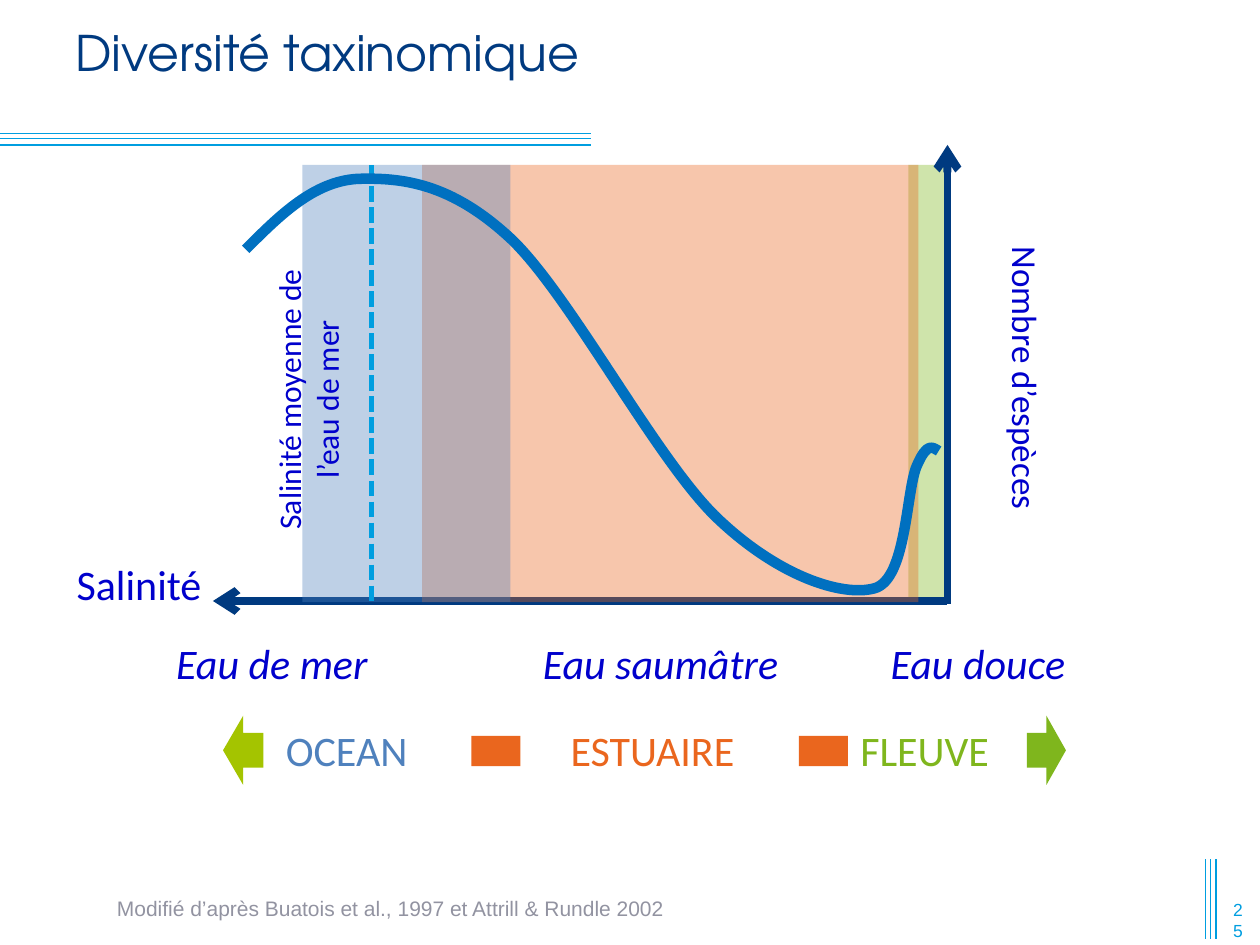
from dataclasses import dataclass

from pptx import Presentation
from pptx.dml.color import RGBColor
from pptx.enum.dml import MSO_LINE
from pptx.enum.shapes import MSO_CONNECTOR, MSO_SHAPE
from pptx.enum.text import MSO_ANCHOR, MSO_AUTO_SIZE, PP_ALIGN
from pptx.oxml.ns import qn
from pptx.util import Inches, Pt

STRAIGHT = MSO_CONNECTOR.STRAIGHT
RECTANGLE = MSO_SHAPE.RECTANGLE
LEFT_ARROW = MSO_SHAPE.LEFT_ARROW
RIGHT_ARROW = MSO_SHAPE.RIGHT_ARROW
SHORT_DASH = MSO_LINE.SQUARE_DOT
LEFT, CENTER = PP_ALIGN.LEFT, PP_ALIGN.CENTER
TOP, MIDDLE = MSO_ANCHOR.TOP, MSO_ANCHOR.MIDDLE
GROW = MSO_AUTO_SIZE.SHAPE_TO_FIT_TEXT


@dataclass(frozen=True)
class Theme:
    navy: str = "003A80"
    cyan: str = "009EE0"
    label: str = "0000CC"
    curve: str = "0070C0"
    ocean: str = "4F81BD"
    estuary: str = "EA661E"
    river: str = "7FB61D"
    lime: str = "A4C400"
    grey: str = "9293A1"
    title_font: str = "TeX Gyre Adventor"
    label_font: str = "Calibri"
    small_font: str = "Arial"
    title_size: int = 28
    label_size: int = 24
    axis_size: int = 20
    note_size: int = 18
    source_size: int = 12
    number_size: int = 10
    zone_opacity: int = 37


class SlideBuilder:
    def __init__(self, page, theme):
        self.shapes = page.shapes
        self.theme = theme

    def text(self, words, at, size, color, font=None, italic=False,
             align=LEFT, anchor=TOP, wrap=False, grow=True, direction=None):
        box = self.shapes.add_textbox(*map(Inches, at))
        frame = box.text_frame
        frame.word_wrap = wrap
        frame.vertical_anchor = anchor
        if grow:
            frame.auto_size = GROW
        if direction:
            frame._txBody.bodyPr.set("vert", direction)
        para = frame.paragraphs[0]
        para.text = words
        para.alignment = align
        para.font.name = font or self.theme.label_font
        para.font.size = Pt(size)
        para.font.italic = italic
        para.font.color.rgb = RGBColor.from_string(color)

    def line(self, start, end, color, width, dash=None, arrow=None):
        connector = self.shapes.add_connector(
            STRAIGHT, *map(Inches, (*start, *end)))
        connector.line.color.rgb = RGBColor.from_string(color)
        connector.line.width = Pt(width)
        if dash:
            connector.line.dash_style = dash
        if arrow:
            outline = connector.line._get_or_add_ln()
            end_mark = outline.makeelement(qn(f"a:{arrow}"), {"type": "arrow"})
            outline.append(end_mark)
        properties = connector._element.spPr
        properties.append(properties.makeelement(qn("a:effectLst"), {}))

    def block(self, kind, at, color, opacity=None):
        shape = self.shapes.add_shape(kind, *map(Inches, at))
        shape.shadow.inherit = False
        shape.fill.solid()
        shape.fill.fore_color.rgb = RGBColor.from_string(color)
        shape.line.fill.background()
        if opacity:
            tint = shape._element.spPr.find(f".//{qn('a:srgbClr')}")
            alpha = tint.makeelement(qn("a:alpha"), {"val": str(opacity * 1000)})
            tint.append(alpha)

    def curve(self, points, color, width):
        """Draw a Bezier chain: a start, then two controls and a knot per arc."""
        start, *rest = [tuple(map(Inches, point)) for point in points]
        builder = self.shapes.build_freeform(*start)
        builder.add_line_segments(rest, close=False)
        shape = builder.convert_to_shape()
        shape.shadow.inherit = False
        shape.fill.background()
        shape.line.color.rgb = RGBColor.from_string(color)
        shape.line.width = Pt(width)
        # Gather each three straight segments into one cubic arc
        outline = shape._element.spPr.find(f".//{qn('a:path')}")
        segments = outline.findall(qn("a:lnTo"))
        for first in range(0, len(segments), 3):
            arc = outline.makeelement(qn("a:cubicBezTo"), {})
            outline.append(arc)
            for segment in segments[first:first + 3]:
                arc.append(segment[0])
                outline.remove(segment)


def main():
    deck = Presentation()
    deck.slide_width, deck.slide_height = Inches(10), Inches(7.5)
    page = deck.slides.add_slide(deck.slide_layouts[6])
    theme = Theme()
    slide = SlideBuilder(page, theme)

    # Decorative rules, page number, source and title
    for y in (1.06, 1.1, 1.15):
        slide.line((0, y), (4.69, y), theme.cyan, 0.75)
    for x in (9.57, 9.61, 9.65):
        slide.line((x, 6.82), (x, 7.45), theme.cyan, 0.75)
    slide.text("25", (9.65, 7.1, 0.35, 0.4), theme.number_size, theme.cyan,
               theme.small_font, align=CENTER, anchor=MIDDLE, wrap=True,
               grow=False)
    slide.text("Modifié d’après Buatois et al., 1997 et Attrill & Rundle 2002",
               (0.83, 7.06, 8.7, 0.3), theme.source_size, theme.grey,
               theme.small_font, wrap=True)
    slide.text("Diversité taxinomique", (0.5, 0.13, 8.28, 0.54),
               theme.title_size, theme.navy, theme.title_font, wrap=True,
               grow=False)

    # River zone behind the axes, the other zones in front
    zone_top, zone_height = 1.31, 3.47
    axis_x, axis_y = 7.52, 4.77

    def zone(left, width, color):
        slide.block(RECTANGLE, (left, zone_top, width, zone_height), color,
                    theme.zone_opacity)

    zone(7.21, 0.31, theme.river)
    slide.line((axis_x, 4.79), (axis_x, 1.15), theme.navy, 4.5, arrow="tailEnd")
    slide.line((1.69, axis_y), (axis_x, axis_y), theme.navy, 4.5,
               arrow="headEnd")
    slide.text("Nombre d’espèces", (7.82, 1.86, 0.54, 2.18), theme.axis_size,
               theme.label, direction="vert")
    slide.text("Salinité", (0.51, 4.38, 1.2, 0.51), theme.label_size,
               theme.label)
    zone(3.35, 3.94, theme.estuary)
    zone(2.4, 1.65, theme.ocean)

    # Mean seawater salinity
    slide.line((2.95, zone_top), (2.95, axis_y), theme.cyan, 3, SHORT_DASH)
    slide.text("Salinité moyenne de l’eau de mer", (2.09, 1.94, 0.81, 2.46),
               theme.note_size, theme.label, align=CENTER, wrap=True,
               direction="vert270")

    # Species curve, from fresh water to the sea
    slide.curve([
        (7.45, 3.58),
        (7.4, 3.55), (7.36, 3.51), (7.28, 3.69),
        (7.19, 3.88), (7.2, 4.6), (6.94, 4.67),
        (6.68, 4.74), (6.17, 4.57), (5.69, 4.11),
        (5.21, 3.65), (4.53, 2.35), (4.06, 1.9),
        (3.58, 1.45), (3.19, 1.41), (2.84, 1.42),
        (2.49, 1.44), (2.22, 1.71), (1.95, 1.98),
    ], theme.curve, 6)

    # Water types
    for words, left, width in (("Eau douce", 6.97, 1.62),
                               ("Eau saumâtre", 4.21, 2.17),
                               ("Eau de mer", 1.3, 1.75)):
        slide.text(words, (left, 5.01, width, 0.51), theme.label_size,
                   theme.label, italic=True)

    # Environments, with their arrows and links
    for words, left, width, color in (("FLEUVE", 6.73, 1.23, theme.river),
                                      ("OCEAN", 2.17, 1.18, theme.ocean),
                                      ("ESTUAIRE", 4.43, 1.51, theme.estuary)):
        slide.text(words, (left, 5.7, width, 0.5), theme.label_size, color)
    slide.block(RIGHT_ARROW, (8.15, 5.68, 0.31, 0.55), theme.river)
    slide.block(LEFT_ARROW, (1.77, 5.68, 0.32, 0.55), theme.lime)
    for left in (3.74, 6.34):
        slide.block(RECTANGLE, (left, 5.84, 0.39, 0.24), theme.estuary)

    deck.save("out.pptx")


if __name__ == "__main__":
    main()
